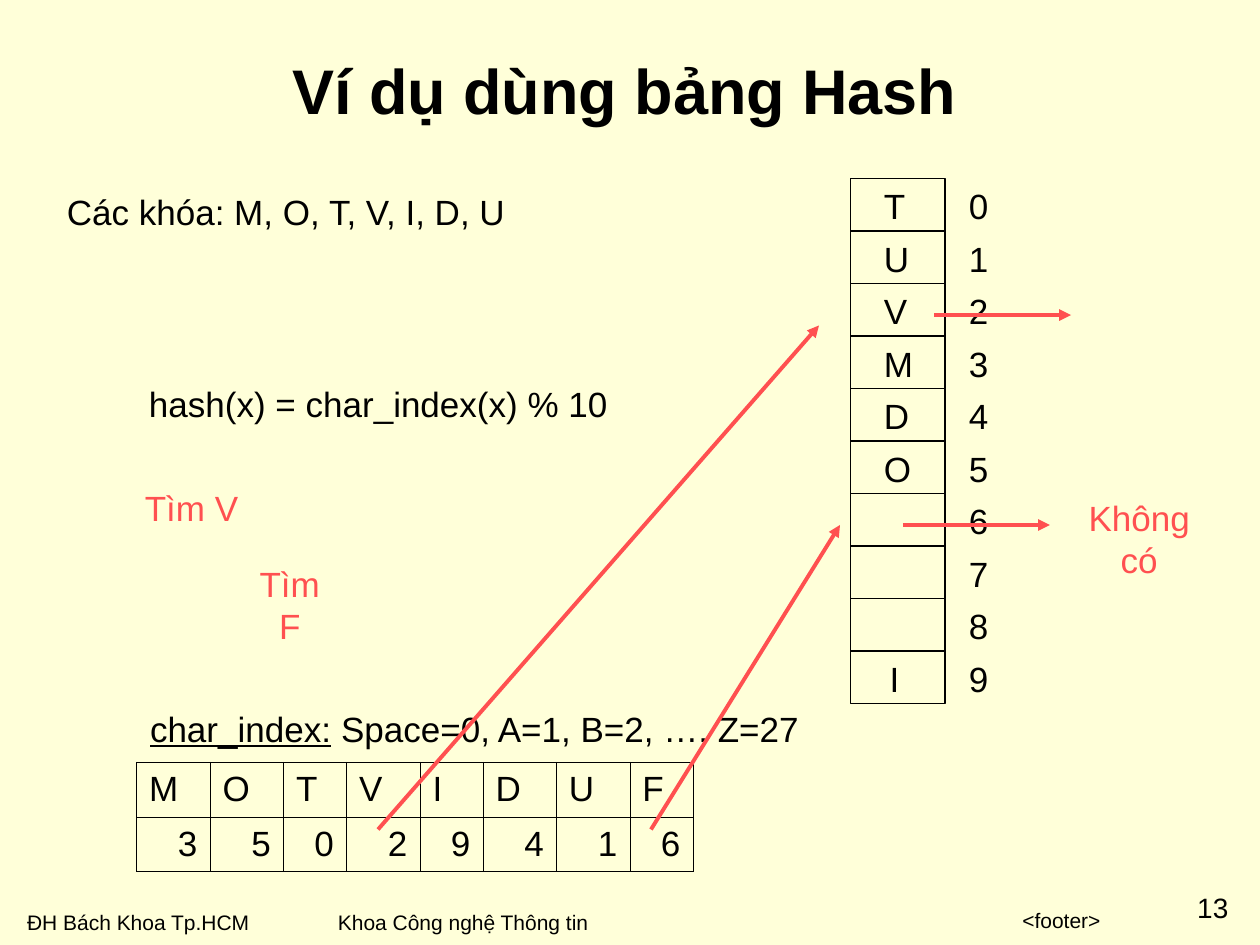
from lxml.etree import SubElement
from pptx import Presentation
from pptx.dml.color import RGBColor
from pptx.enum.shapes import MSO_CONNECTOR, MSO_SHAPE
from pptx.enum.text import MSO_ANCHOR as ANCHOR, PP_ALIGN as ALIGN
from pptx.oxml.ns import qn
from pptx.util import Pt

PX = 7620  # EMU per px, 120 px to the inch
FONT = "Arial"
COLORS = {"paper": "FFFFD9", "ink": "000000", "search": "FF5050"}

# Content
SLOTS = ["T", "U", "V", "M", "D", "O", "", "", "", "I"]
KEYS = [("M", 3), ("O", 5), ("T", 0), ("V", 2), ("I", 9), ("D", 4), ("U", 1), ("F", 6)]
KEY_WIDTHS = [70, 70, 60, 70, 60, 70, 70, 60]
KEY_ROW = 52

# text, box (left, top, width, height), format
LABELS = [
    ("ĐH Bách Khoa Tp.HCM", (14, 860, 236, 36), {"size": 12, "align": ALIGN.LEFT}),
    ("<footer>", (380, 858, 680, 36), {"size": 12, "align": ALIGN.RIGHT, "wrap": True}),
    ("13", (1129, 848, 52, 32), {"size": 16, "wrap": True, "inset": (0, 0)}),
    ("Khoa Công nghệ Thông tin", (310, 860, 263, 36), {"size": 12, "align": ALIGN.LEFT}),
    ("Ví dụ dùng bảng Hash", (110, 10, 970, 150),
     {"size": 36, "bold": True, "wrap": True, "anchor": ANCHOR.MIDDLE}),
    ("hash(x) = char_index(x) % 10", (130, 358, 461, 53), {}),
    ("Các khóa: M, O, T, V, I, D, U", (48, 176, 449, 53), {}),
    ("Tìm V", (126, 457, 113, 53), {"color": "search"}),
    ("Tìm F", (221, 530, 110, 53), {"color": "search"}),
    ("Không có", (1003, 467, 164, 53), {"color": "search"}),
]
INDEX_TERM, INDEX_RULE = "char_index:", " Space=0, A=1, B=2, …, Z=27"
INDEX_BOX = (130, 668, 644, 53)

# from (x, y), to (x, y)
ARROWS = [
    ((360, 790), (780, 310)),
    ((890, 300), (1020, 300)),
    ((620, 790), (800, 500)),
    ((860, 500), (1000, 500)),
]

# Hash table geometry
SLOT_LEFT, SLOT_TOP, SLOT_WIDTH, SLOT_HEIGHT = 810, 170, 90, 50
LETTER_LEFT, NUMBER_LEFT = 830, 910
MARK_WIDTH, MARK_HEIGHT = 44, 48


def rgb(name):
    return RGBColor.from_string(COLORS[name])


def emu(values):
    return [v * PX for v in values]


def add_run(paragraph, text, size=20, color="ink", **font):
    run = paragraph.add_run()
    run.text = text
    run.font.color.rgb = rgb(color)
    for key, value in {"name": FONT, "size": Pt(size), **font}.items():
        setattr(run.font, key, value)


def add_label(text, box, align=ALIGN.CENTER, wrap=False, anchor=ANCHOR.TOP,
              inset=(12, 6), **font):
    frame = slide.shapes.add_textbox(*emu(box)).text_frame
    across, down = emu(inset)
    settings = {"word_wrap": wrap, "vertical_anchor": anchor,
                "margin_left": across, "margin_right": across,
                "margin_top": down, "margin_bottom": down}
    for key, value in settings.items():
        setattr(frame, key, value)
    paragraph = frame.paragraphs[0]
    paragraph.alignment = align
    add_run(paragraph, text, **font)
    return paragraph


def add_borders(cell):
    properties = cell._tc.get_or_add_tcPr()
    for i, side in enumerate(("a:lnL", "a:lnR", "a:lnT", "a:lnB")):
        line = properties.makeelement(qn(side), {"w": str(Pt(0.45))})
        fill = SubElement(line, qn("a:solidFill"))
        SubElement(fill, qn("a:srgbClr"), val=COLORS["ink"])
        properties.insert(i, line)


def add_arrow(start, end):
    arrow = slide.shapes.add_connector(MSO_CONNECTOR.STRAIGHT, *emu(start + end))
    arrow.line.color.rgb = rgb("search")
    arrow.line.width = Pt(2.25)
    SubElement(arrow.line._get_or_add_ln(), qn("a:tailEnd"), type="triangle")
    SubElement(arrow._element.spPr, qn("a:effectLst"))


prs = Presentation()
prs.slide_width, prs.slide_height = emu((1200, 900))
slide = prs.slides.add_slide(prs.slide_layouts[6])
slide.background.fill.solid()
slide.background.fill.fore_color.rgb = rgb("paper")

# Title, footers and notes
for text, box, style in LABELS:
    add_label(text, box, **style)
index_line = add_label(INDEX_TERM, INDEX_BOX, underline=True)
add_run(index_line, INDEX_RULE, underline=False)

# Character index table
index_table = slide.shapes.add_table(
    2, len(KEYS), *emu((130, 726, sum(KEY_WIDTHS), 2 * KEY_ROW))).table
index_table.first_row = index_table.horz_banding = False
for row in index_table.rows:
    row.height = KEY_ROW * PX
for col, (pair, width) in enumerate(zip(KEYS, KEY_WIDTHS)):
    index_table.columns[col].width = width * PX
    for row, (value, align) in enumerate(zip(pair, (ALIGN.LEFT, ALIGN.RIGHT))):
        cell = index_table.cell(row, col)
        cell.fill.background()
        cell.vertical_anchor = ANCHOR.MIDDLE
        paragraph = cell.text_frame.paragraphs[0]
        paragraph.alignment = align
        add_run(paragraph, str(value))
        add_borders(cell)

# Hash table: slot, its letter and its number
for number, letter in enumerate(SLOTS):
    top = SLOT_TOP + number * SLOT_HEIGHT
    slot = slide.shapes.add_shape(
        MSO_SHAPE.RECTANGLE, *emu((SLOT_LEFT, top, SLOT_WIDTH, SLOT_HEIGHT)))
    slot.shadow.inherit = False
    slot.fill.background()
    slot.line.color.rgb = rgb("ink")
    slot.line.width = Pt(0.75)
    for mark, left in ((letter, LETTER_LEFT), (str(number), NUMBER_LEFT)):
        if mark:
            add_label(mark, (left, top, MARK_WIDTH, MARK_HEIGHT))

# Search arrows
for start, end in ARROWS:
    add_arrow(start, end)

prs.save("out.pptx")
